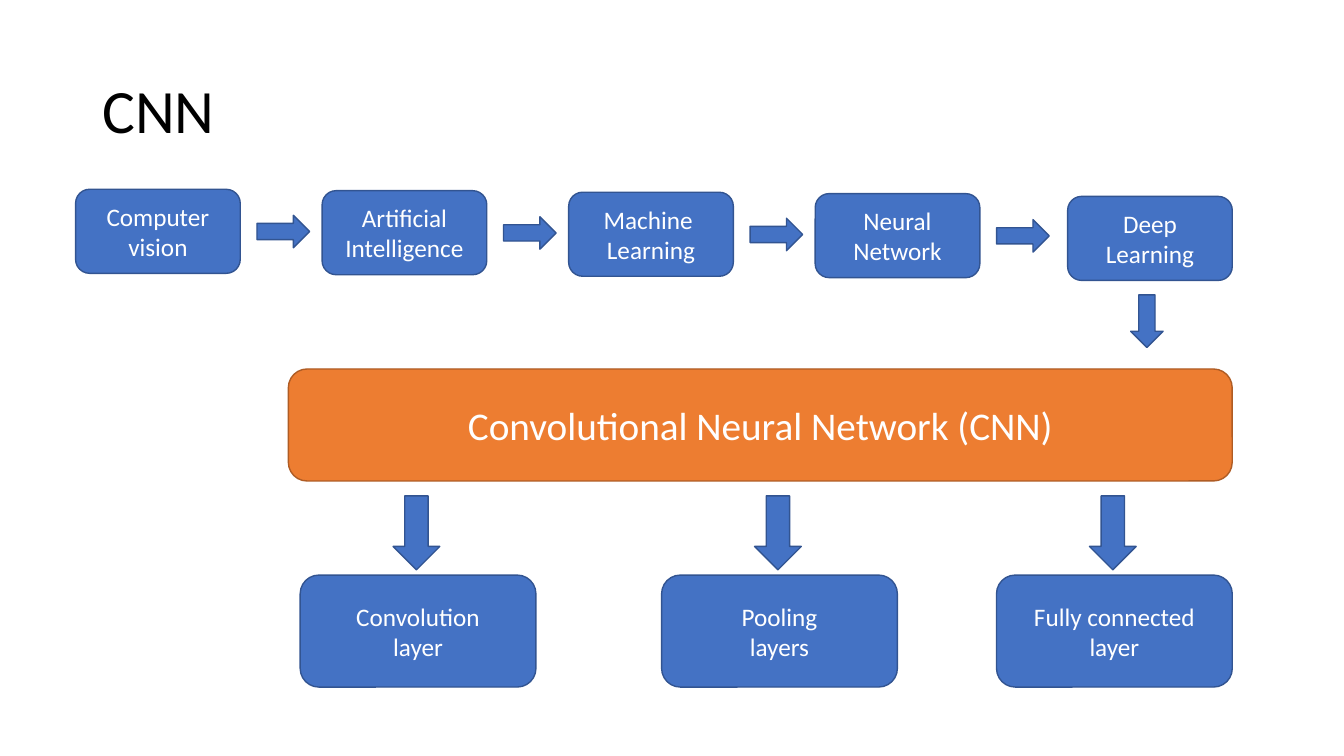
from pptx import Presentation
from pptx.dml.color import RGBColor
from pptx.enum.shapes import MSO_SHAPE as Shape
from pptx.enum.text import MSO_ANCHOR as Anchor, PP_ALIGN as Align
from pptx.util import Pt

# Content: the chain with the top of each box, then the layers with their left
TITLE = "CNN"
STEPS = [
    ("Computer\nvision", 135.2),
    ("Artificial\nIntelligence", 136.2),
    ("Machine \nLearning", 137.3),
    ("Neural\nNetwork", 138.3),
    ("Deep\nLearning", 140.3),
]
MODEL = "Convolutional Neural Network (CNN)"
LAYERS = [
    ("Convolution\nlayer", 214.4),
    ("Pooling\nlayers", 472.6),
    ("Fully connected\nlayer", 711.8),
]

# Style
FONT = "Calibri"
BLACK = RGBColor(0, 0, 0)
WHITE = RGBColor(255, 255, 255)
BLUE = RGBColor(0x44, 0x72, 0xC4)
NAVY = RGBColor(0x32, 0x54, 0x91)
ORANGE = RGBColor(0xED, 0x7D, 0x31)
BROWN = RGBColor(0xAF, 0x5C, 0x24)

# Layout
LEFT, PITCH, RIGHT = 54, 176.1, 880.2
STEP_W, STEP_H = 117.6, 60
LAYER_W, LAYER_H = 168.4, 80
LINK_W, LINK_H = 37.6, 23.2
DROP_W, DROP_H = 33.4, 52.8


def write(shape, text, size, color, align):
    frame = shape.text_frame
    frame.word_wrap = True
    frame.vertical_anchor = Anchor.MIDDLE
    frame.text = text
    for par in frame.paragraphs:
        par.alignment = align
        par.font.name = FONT
        par.font.size = Pt(size)
        par.font.color.rgb = color
    return frame


def draw(kind, x, y, w, h, fill=BLUE, edge=NAVY):
    shape = slide.shapes.add_shape(kind, Pt(x), Pt(y), Pt(w), Pt(h))
    shape.shadow.inherit = False
    shape.fill.solid()
    shape.fill.fore_color.rgb = fill
    shape.line.color.rgb = edge
    shape.line.width = Pt(1)
    return shape


def box(text, x, y, w, h, size=18, fill=BLUE, edge=NAVY):
    shape = draw(Shape.ROUNDED_RECTANGLE, x, y, w, h, fill, edge)
    write(shape, text, size, WHITE, Align.CENTER)


deck = Presentation()
deck.slide_width, deck.slide_height = Pt(960), Pt(540)
slide = deck.slides.add_slide(deck.slide_layouts[6])

# Title
head = slide.shapes.add_textbox(Pt(66), Pt(28.8), Pt(828), Pt(104.4))
frame = write(head, TITLE, 44, BLACK, Align.LEFT)
frame.paragraphs[0].line_spacing = 0.9

# Chain of fields; the last box lines up with the right edge
last = len(STEPS) - 1
for i, (text, top) in enumerate(STEPS):
    x = LEFT + i * PITCH if i < last else RIGHT - STEP_W
    box(text, x, top, STEP_W, STEP_H)
    if i < last:
        draw(Shape.RIGHT_ARROW, x + 129.6, top + 18.6, LINK_W, LINK_H)

# Turn down to the model
turn = draw(Shape.RIGHT_ARROW, 800.4, 217.8, LINK_W, LINK_H)
turn.rotation = 90
box(MODEL, 206, 263.6, RIGHT - 206, LAYER_H, 28, ORANGE, BROWN)

# Layers of the model
for text, x in LAYERS:
    box(text, x, 410.8, LAYER_W, LAYER_H)
    draw(Shape.DOWN_ARROW, x + 66.4, 354.2, DROP_W, DROP_H)

deck.save("out.pptx")
